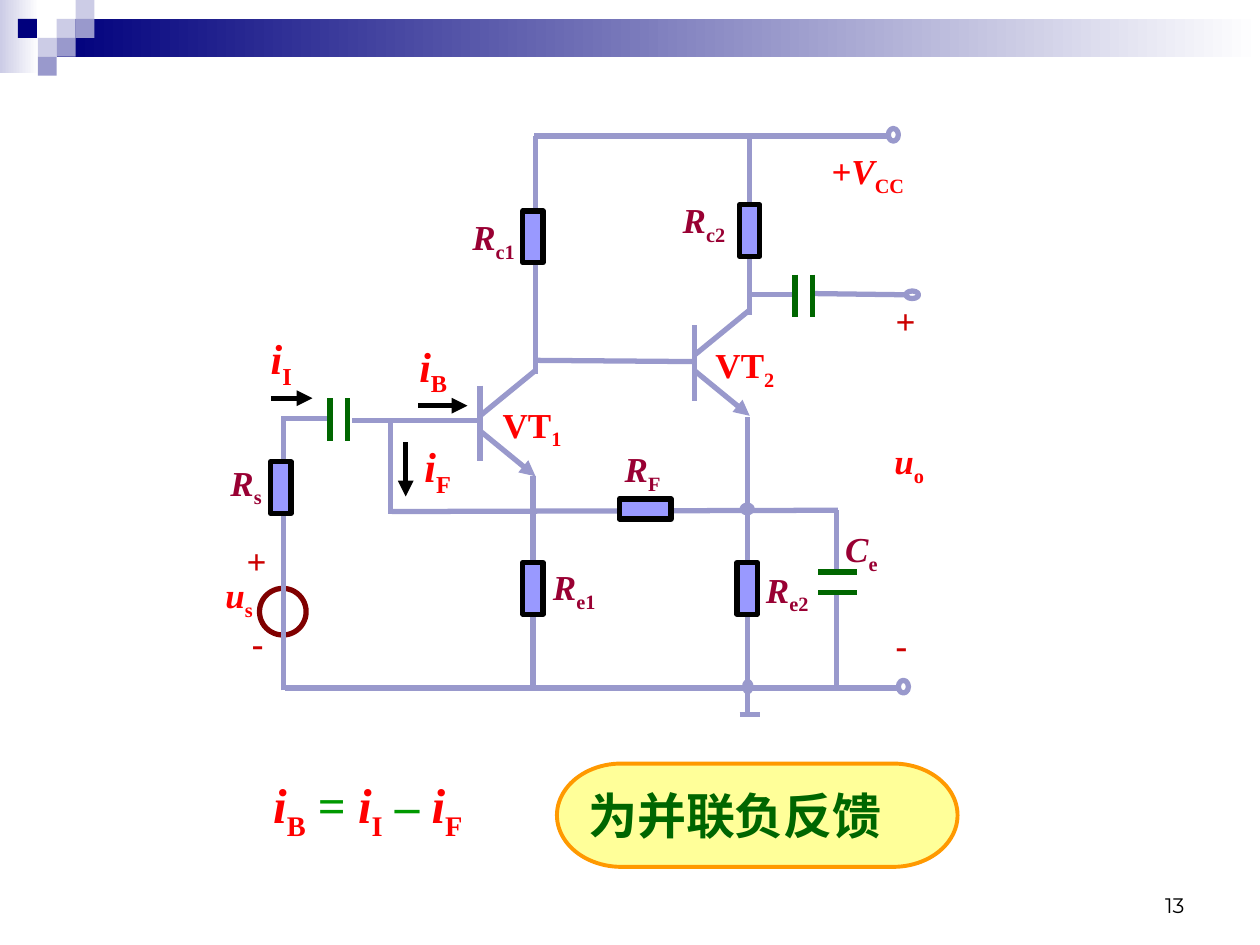
from typing import NamedTuple

import lxml.etree
import pptx
import pptx.dml.color
import pptx.enum.shapes
import pptx.enum.text
import pptx.oxml.ns
import pptx.util

HUES = {
    "wire": "9999CC", "pale": "CCCCE6", "navy": "00007D", "white": "FFFFFF",
    "body": "9999FF", "black": "000000", "plate": "006600", "source": "800000",
    "red": "FF0000", "sign": "CC0000", "wine": "990033", "green": "009900",
    "cream": "FFFF99", "amber": "FF9900",
}
KINDS = pptx.enum.shapes.MSO_SHAPE
ALIGN = pptx.enum.text.PP_ALIGN
ANCHOR = pptx.enum.text.MSO_ANCHOR
FIT = pptx.enum.text.MSO_AUTO_SIZE
SERIF = "Times New Roman"
CELL = 0.15  # side of a mosaic square


class Wire(NamedTuple):
    x1: float
    y1: float
    x2: float
    y2: float
    hue: str = "wire"
    arrow: bool = False


class Oval(NamedTuple):
    x: float
    y: float
    w: float
    h: float
    hue: str = "wire"
    solid: bool = False


class Part(NamedTuple):
    text: str
    hue: str
    slant: bool = False
    low: bool = False


class Label(NamedTuple):
    x: float
    y: float
    w: float
    base: str
    low: str
    hue: str
    size: float = 20
    slant: bool = True


def grid(inch: float) -> int:
    """Turn a place on the inch grid into a length."""
    return pptx.util.Cm(inch * 2.54)


def tint(name: str):
    return pptx.dml.color.RGBColor.from_string(HUES[name])


def apply(target, values: dict) -> None:
    for key, value in values.items():
        setattr(target, key, value)


def add_shape(page, kind, x: float, y: float, w: float, h: float,
              fill: str = "", edge: str = "", width: float = 3):
    shape = page.shapes.add_shape(kind, grid(x), grid(y), grid(w), grid(h))
    shape.shadow.inherit = False
    if fill:
        shape.fill.solid()
        shape.fill.fore_color.rgb = tint(fill)
    else:
        shape.fill.background()
    if edge:
        shape.line.color.rgb = tint(edge)
        shape.line.width = pptx.util.Pt(width)
    else:
        shape.line.fill.background()
    return shape


def add_fade(page, x: float, y: float, w: float, h: float, start: str) -> None:
    fill = add_shape(page, KINDS.RECTANGLE, x, y, w, h, start).fill
    fill.gradient()
    fill.gradient_angle = 0
    for stop, name, place in zip(fill.gradient_stops, (start, "white"), (0, 1)):
        stop.color.rgb = tint(name)
        stop.position = place


def add_wire(page, wire: Wire) -> None:
    line = page.shapes.add_connector(
        pptx.enum.shapes.MSO_CONNECTOR.STRAIGHT,
        grid(wire.x1), grid(wire.y1), grid(wire.x2), grid(wire.y2))
    line.line.color.rgb = tint(wire.hue)
    line.line.width = pptx.util.Pt(3)
    name = pptx.oxml.ns.qn
    if wire.arrow:
        stroke = line.line.fill._xPr
        lxml.etree.SubElement(stroke, name("a:tailEnd"), type="triangle")
    lxml.etree.SubElement(line._element.spPr, name("a:effectLst"))


def write(frame, parts: list[Part], size: float, face: str = SERIF,
          bold: bool = True, align=ALIGN.LEFT) -> None:
    line = frame.paragraphs[0]
    line.alignment = align
    for part in parts:
        run = line.add_run()
        run.text = part.text
        apply(run.font, {"name": face, "size": pptx.util.Pt(size),
                         "bold": bold, "italic": part.slant})
        run.font.color.rgb = tint(part.hue)
        if part.low:
            run._r.get_or_add_rPr().set("baseline", "-25000")


def add_text(page, x: float, y: float, w: float, h: float,
             parts: list[Part], size: float, fit=FIT.SHAPE_TO_FIT_TEXT,
             anchor=ANCHOR.TOP, **style) -> None:
    box = page.shapes.add_textbox(grid(x), grid(y), grid(w), grid(h))
    apply(box.text_frame, {"word_wrap": True, "auto_size": fit,
                           "vertical_anchor": anchor})
    write(box.text_frame, parts, size, **style)


def add_label(page, label: Label) -> None:
    parts = [Part(label.base, label.hue, label.slant)]
    if label.low:
        parts.append(Part(label.low, label.hue, low=True))
    high = 0.56 if label.size > 20 else 0.48 if label.low else 0.44
    add_text(page, label.x, label.y, label.w, high, parts, label.size)


def add_load(page, x: float, y: float, w: float = 0.16, h: float = 0.41) -> None:
    """Draw a resistor centred on x, y."""
    add_shape(page, KINDS.RECTANGLE, x - w / 2, y - h / 2, w, h, "body", "black")


def valve(x: float, y: float) -> list[Wire]:
    """Lines of a transistor whose base bar starts at x, y."""
    tip = x + 0.44
    return [Wire(x, y, x, y + 0.6), Wire(x, y + 0.24, tip, y - 0.12),
            Wire(x, y + 0.36, tip, y + 0.72, arrow=True)]


WIRES = [
    # Both transistors with their upper and lower legs
    Wire(4.23, 3.78, 4.23, 5.47), Wire(4.25, 2.97, 4.25, 1.08),
    *valve(3.81, 3.06),
    Wire(5.93, 3.31, 5.93, 5.66), Wire(5.95, 2.5, 5.95, 1.07),
    *valve(5.51, 2.58),
    # Links, feedback path, supply and ground
    Wire(3.81, 3.34, 2.79, 3.34), Wire(5.51, 2.87, 4.25, 2.86),
    Wire(6.65, 4.05, 3.11, 4.06), Wire(3.1, 3.34, 3.1, 4.08),
    Wire(2.61, 3.32, 2.24, 3.32), Wire(7.21, 2.34, 6.46, 2.33),
    Wire(6.3, 2.34, 5.93, 2.34), Wire(6.64, 5.45, 6.64, 4.69),
    Wire(2.25, 5.48, 2.25, 3.3), Wire(6.64, 4.53, 6.64, 4.05),
    Wire(2.26, 5.46, 7.13, 5.46), Wire(7.05, 1.08, 4.24, 1.08),
    Wire(5.87, 5.67, 6.03, 5.67),
    # Capacitor plates
    *[Wire(x, y, x, y + 0.34, "plate")
      for x, y in ((2.62, 3.16), (2.76, 3.16), (6.31, 2.18), (6.45, 2.18))],
    *[Wire(6.8, y, 6.49, y, "plate") for y in (4.54, 4.7)],
    # Current arrows
    Wire(3.22, 3.51, 3.22, 3.94, "black", True),
    Wire(3.32, 3.22, 3.71, 3.22, "black", True),
    Wire(2.15, 3.16, 2.48, 3.16, "black", True),
]
OVALS = [
    Oval(2.06, 4.67, 0.37, 0.37, "source"),
    Oval(7.13, 5.4, 0.08, 0.1), Oval(7.05, 1.02, 0.08, 0.1),
    Oval(7.19, 2.31, 0.1, 0.06),
    Oval(5.89, 4.01, 0.08, 0.06, solid=True),
    Oval(5.91, 5.41, 0.05, 0.08, solid=True),
]
LOADS = [(4.23, 1.88), (5.95, 1.83), (2.23, 3.87), (4.23, 4.67), (5.93, 4.67)]
LABELS = [
    Label(3.27, 3.45, 0.49, "i", "F", "red", 24),
    Label(3.23, 2.65, 0.5, "i", "B", "red", 24),
    Label(2.05, 2.59, 0.51, "i", "I", "red", 24),
    Label(3.89, 3.15, 0.78, "VT", "1", "red", slant=False),
    Label(5.58, 2.68, 0.78, "VT", "2", "red", slant=False),
    Label(5.32, 1.53, 0.64, "R", "c2", "wine"),
    Label(3.65, 1.66, 0.6, "R", "c1", "wine"),
    Label(5.98, 4.46, 0.71, "R", "e2", "wine"),
    Label(4.29, 4.44, 0.6, "R", "e1", "wine"),
    Label(1.73, 3.61, 0.52, "R", "s", "wine"),
    Label(4.86, 3.5, 0.54, "R", "F", "wine"),
    Label(6.61, 4.14, 0.7, "C", "e", "wine"),
    Label(6.5, 1.14, 0.95, "+V", "CC", "red"),
    Label(7, 3.44, 0.51, "u", "o", "red"),
    Label(1.69, 4.5, 0.47, "u", "s", "red"),
    *[Label(x, y, 0.34, sign, "", "sign", slant=False)
      for x, y, sign in ((1.86, 4.23, "+"), (1.9, 4.88, "-"),
                         (7.01, 2.33, "+"), (7.01, 4.9, "-"))],
]
# Mosaic squares: column, row, colour
TILES = [(3, 1, "pale"), (4, 0, "pale"), (4, 1, "wire"), (2, 2, "pale"),
         (0.95, 1, "navy"), (3, 2, "wire"), (2, 3, "wire")]
SUM = [Part("i", "red", True), Part("B", "red", low=True), Part(" = ", "green"),
       Part("i", "red", True), Part("I", "red", low=True), Part(" – ", "green"),
       Part("i", "red", True), Part("F", "red", low=True)]


def main() -> None:
    deck = pptx.Presentation()
    apply(deck, {"slide_width": grid(10), "slide_height": grid(7.5)})
    page = deck.slides.add_slide(deck.slide_layouts[6])
    # Header band and mosaic
    add_fade(page, 0, 0, 0.31, 0.58, "pale")
    add_fade(page, 0.45, 0.15, 9.55, 0.3, "navy")
    for col, row, hue in TILES:
        add_shape(page, KINDS.RECTANGLE, col * CELL, row * CELL, CELL, CELL, hue)
    # Circuit
    for oval in OVALS:
        add_shape(page, KINDS.OVAL, *oval[:4], oval.hue if oval.solid else "",
                  oval.hue)
    for wire in WIRES:
        add_wire(page, wire)
    for spot in LOADS:
        add_load(page, *spot)
    add_load(page, 5.12, 4.04, 0.41, 0.16)
    for label in LABELS:
        add_label(page, label)
    # Result and verdict
    add_text(page, 2.07, 6.1, 1.86, 0.63, SUM, 28)
    badge = add_shape(page, KINDS.FLOWCHART_TERMINATOR, 4.42, 6.06, 3.18, 0.82,
                      "cream", "amber", 2.25)
    apply(badge.text_frame, {"word_wrap": False,
                             "vertical_anchor": ANCHOR.MIDDLE})
    write(badge.text_frame, [Part("为并联负反馈", "plate")], 28)
    # Page number
    add_text(page, 7.17, 6.83, 2.33, 0.5, [Part("13", "black")], 12, FIT.NONE,
             ANCHOR.BOTTOM, face="Montserrat", bold=False, align=ALIGN.RIGHT)
    deck.save("out.pptx")


if __name__ == "__main__":
    main()
